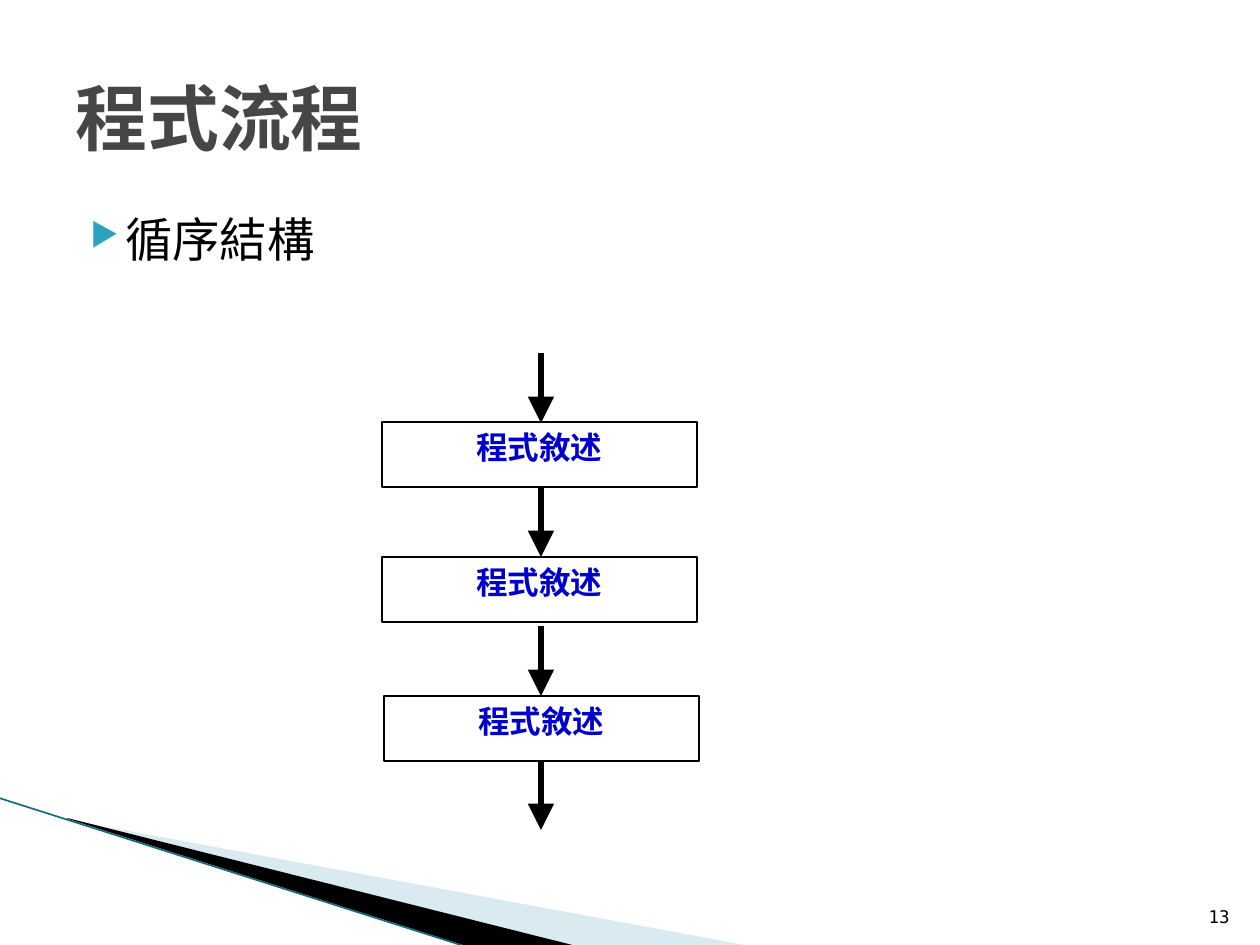
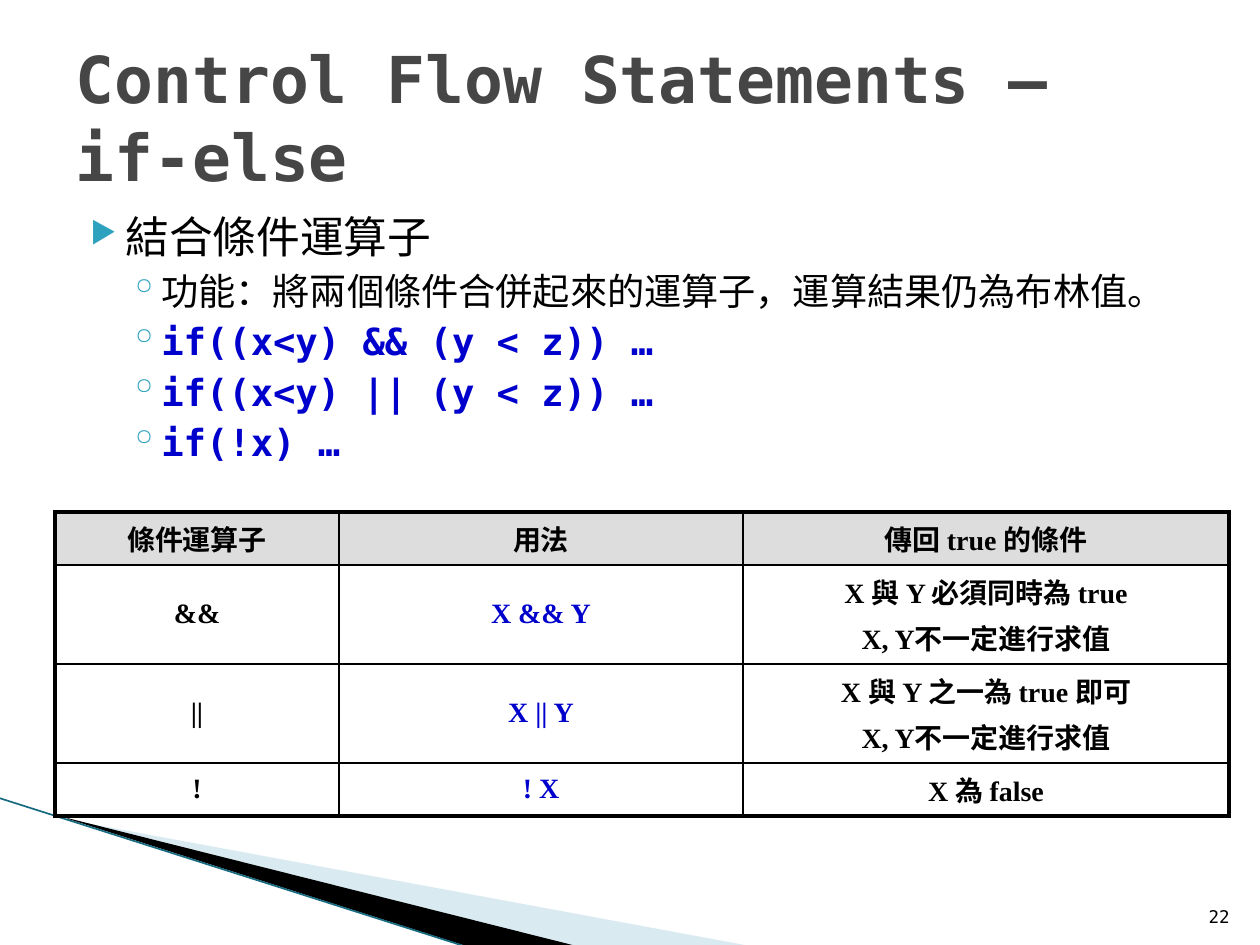
"""Builds two slides on program flow: a sequence flowchart and a condition operator table."""
from lxml import etree
from pptx import Presentation
from pptx.dml.color import RGBColor
from pptx.enum.shapes import MSO_CONNECTOR, MSO_SHAPE
from pptx.enum.text import MSO_ANCHOR, MSO_AUTO_SIZE, PP_ALIGN
from pptx.oxml.ns import qn
from pptx.util import Inches, Pt

SCALE = Inches(1) / 126
STRAIGHT, RECTANGLE = MSO_CONNECTOR.STRAIGHT, MSO_SHAPE.RECTANGLE
TOP, MIDDLE, BOTTOM = MSO_ANCHOR.TOP, MSO_ANCHOR.MIDDLE, MSO_ANCHOR.BOTTOM
LEFT, CENTER, RIGHT = PP_ALIGN.LEFT, PP_ALIGN.CENTER, PP_ALIGN.RIGHT
NO_FIT = MSO_AUTO_SIZE.NONE

MONO, SERIF = "DejaVu Sans Mono", "Times New Roman"
BLACK = RGBColor(0x00, 0x00, 0x00)
BLUE = RGBColor(0x00, 0x00, 0xCC)
TITLE_GREY = RGBColor(0x46, 0x46, 0x46)
HEADER_GREY = RGBColor(0xDD, 0xDD, 0xDD)
PALE_BLUE = RGBColor(0xA0, 0xCB, 0xDC)
BULLET_TEAL = RGBColor(0x2D, 0xA2, 0xBF)
EDGE_TEAL = RGBColor(0x17, 0x6B, 0x80)

# level: (bullet, bullet size %, text left, hanging indent, space before)
BULLETS = [("▶", 68, 50, 35, 4), ("◦", 100, 86, 32, 3.2)]
WEDGES = [
    ([(69, 820), (750, 946), (575, 946), (69, 819)], PALE_BLUE, 40),
    ([(67, 818), (576, 946), (469, 947), (68, 819)], BLACK, 100),
]
EDGE = (-1, 798, 467, 947)

# text, level, size, colour, bold
FLOW_POINTS = [("循序結構", 0, 27, BLACK, False)]
OPERATOR_POINTS = [
    ("結合條件運算子", 0, 25, BLACK, False),
    ("功能：將兩個條件合併起來的運算子，運算結果仍為布林值。", 1, 21.3, BLACK, False),
    ("if((x<y) && (y < z)) …", 1, 21.3, BLUE, True),
    ("if((x<y) || (y < z)) …", 1, 21.3, BLUE, True),
    ("if(!x) …", 1, 21.3, BLUE, True),
]
STEP_TEXT = "程式敘述"
STEP_SIZE = (315, 65)
STEPS = [(382, 422), (382, 557), (384, 696)]
ARROW_X, ARROW_LENGTH = 541, 70
ARROW_TOPS = [353, 487, 626, 760]
OPERATORS = [
    ("條件運算子", "用法", "傳回 true 的條件"),
    ("&&", "X && Y", "X 與 Y 必須同時為 true\nX, Y不一定進行求值"),
    ("||", "X || Y", "X 與 Y 之一為 true 即可\nX, Y不一定進行求值"),
    ("!", "! X", "X 為 false"),
]
TABLE_ORIGIN = (55, 512)
COLUMN_WIDTHS = [284, 404, 486]
ROW_HEIGHTS = [53, 99, 99, 53]


def px(*values):
    return [round(value * SCALE) for value in values]


def format_paragraph(paragraph, size, color, bold=False, font=MONO, align=LEFT):
    paragraph.alignment = align
    for run in paragraph.runs:
        run.font.name = font
        run.font.size = Pt(size)
        run.font.bold = bold
        run.font.color.rgb = color


def add_child(parent, tag, **attributes):
    return etree.SubElement(parent, qn(tag), attributes)


def add_line(slide, x1, y1, x2, y2, color, width, arrow=False):
    line = slide.shapes.add_connector(STRAIGHT, *px(x1, y1, x2, y2))
    line.line.color.rgb = color
    line.line.width = Pt(width)
    if arrow:
        add_child(line.line._get_or_add_ln(), "a:tailEnd", type="triangle", w="lg", len="lg")
    add_child(line._element.spPr, "a:effectLst")


def add_wedge(slide, points, color, opacity):
    builder = slide.shapes.build_freeform(*points[0], scale=SCALE)
    builder.add_line_segments(points[1:], close=True)
    wedge = builder.convert_to_shape()
    wedge.shadow.inherit = False
    wedge.fill.solid()
    wedge.fill.fore_color.rgb = color
    wedge.line.fill.background()
    if opacity < 100:
        fill_color = wedge._element.spPr.find(qn("a:solidFill"))[0]
        add_child(fill_color, "a:alpha", val=str(opacity * 1000))


def add_textbox(slide, box, anchor=TOP):
    text_frame = slide.shapes.add_textbox(*px(*box)).text_frame
    text_frame.word_wrap = True
    text_frame.vertical_anchor = anchor
    return text_frame


def add_points(slide, points, height):
    text_frame = add_textbox(slide, (63, 204, 1134, height))
    text_frame.text = "\n".join(point[0] for point in points)
    for paragraph, (_, level, size, color, bold) in zip(text_frame.paragraphs, points):
        bullet, bullet_size, left, hanging, before = BULLETS[level]
        format_paragraph(paragraph, size, color, bold)
        paragraph.level = level
        paragraph.space_before = Pt(before)
        properties = paragraph._p.get_or_add_pPr()
        margin, indent = px(left, -hanging)
        properties.set("marL", str(margin))
        properties.set("indent", str(indent))
        add_child(add_child(properties, "a:buClr"), "a:srgbClr", val=str(BULLET_TEAL))
        add_child(properties, "a:buSzPct", val=str(bullet_size * 1000))
        add_child(properties, "a:buChar", char=bullet)


def add_slide(presentation, title_text, title_size, number):
    slide = presentation.slides.add_slide(presentation.slide_layouts[5])
    for wedge in WEDGES:
        add_wedge(slide, *wedge)
    add_line(slide, *EDGE, EDGE_TEAL, 0.95)
    title = slide.shapes.title
    title.left, title.top, title.width, title.height = px(63, 38, 1134, 157)
    title.text_frame.text = title_text
    title.text_frame.auto_size = NO_FIT
    title.text_frame.vertical_anchor = MIDDLE
    format_paragraph(title.text_frame.paragraphs[0], title_size, TITLE_GREY, True)
    footer = add_textbox(slide, (1192, 883, 50, 50), BOTTOM)
    footer.text = str(number)
    format_paragraph(footer.paragraphs[0], 10, BLACK, align=RIGHT)
    return slide


def add_step(slide, left, top):
    step = slide.shapes.add_shape(RECTANGLE, *px(left, top, *STEP_SIZE))
    step.shadow.inherit = False
    step.fill.background()
    step.line.color.rgb = BLACK
    step.line.width = Pt(0.75)
    step.text_frame.text = STEP_TEXT
    step.text_frame.vertical_anchor = TOP
    format_paragraph(step.text_frame.paragraphs[0], 18, BLUE, True, align=CENTER)


def add_borders(cell, outer_sides):
    properties = cell._tc.get_or_add_tcPr()
    for side, is_outer in outer_sides.items():
        width = Pt(2.25 if is_outer else 1)
        border = add_child(properties, "a:ln" + side, w=str(width))
        add_child(add_child(border, "a:solidFill"), "a:srgbClr", val=str(BLACK))


def add_operator_table(slide):
    last_row, last_column = len(ROW_HEIGHTS) - 1, len(COLUMN_WIDTHS) - 1
    frame = px(*TABLE_ORIGIN, sum(COLUMN_WIDTHS), sum(ROW_HEIGHTS))
    table = slide.shapes.add_table(last_row + 1, last_column + 1, *frame).table
    for column, width in zip(table.columns, px(*COLUMN_WIDTHS)):
        column.width = width
    for row, height in zip(table.rows, px(*ROW_HEIGHTS)):
        row.height = height
    for r, texts in enumerate(OPERATORS):
        for c, text in enumerate(texts):
            cell = table.cell(r, c)
            cell.text = text
            cell.vertical_anchor = MIDDLE if r and c < last_column else TOP
            add_borders(cell, {"L": c == 0, "R": c == last_column, "T": r == 0, "B": r == last_row})
            if r == 0:
                cell.fill.solid()
                cell.fill.fore_color.rgb = HEADER_GREY
            else:
                cell.fill.background()
            for paragraph in cell.text_frame.paragraphs:
                format_paragraph(paragraph, 16, BLUE if r and c == 1 else BLACK, True, SERIF, CENTER)
                paragraph.space_before = Pt(3.2)


def main():
    presentation = Presentation()
    presentation.slide_width, presentation.slide_height = px(1260, 945)

    flow = add_slide(presentation, "程式流程", 41, 13)
    add_points(flow, FLOW_POINTS, 71)
    for position in STEPS:
        add_step(flow, *position)
    for top in ARROW_TOPS:
        add_line(flow, ARROW_X, top, ARROW_X, top + ARROW_LENGTH, BLACK, 3, arrow=True)

    operators = add_slide(presentation, "Control Flow Statements – if-else", 36.9, 22)
    add_points(operators, OPERATOR_POINTS, 289)
    add_operator_table(operators)

    presentation.save("out.pptx")


main()
